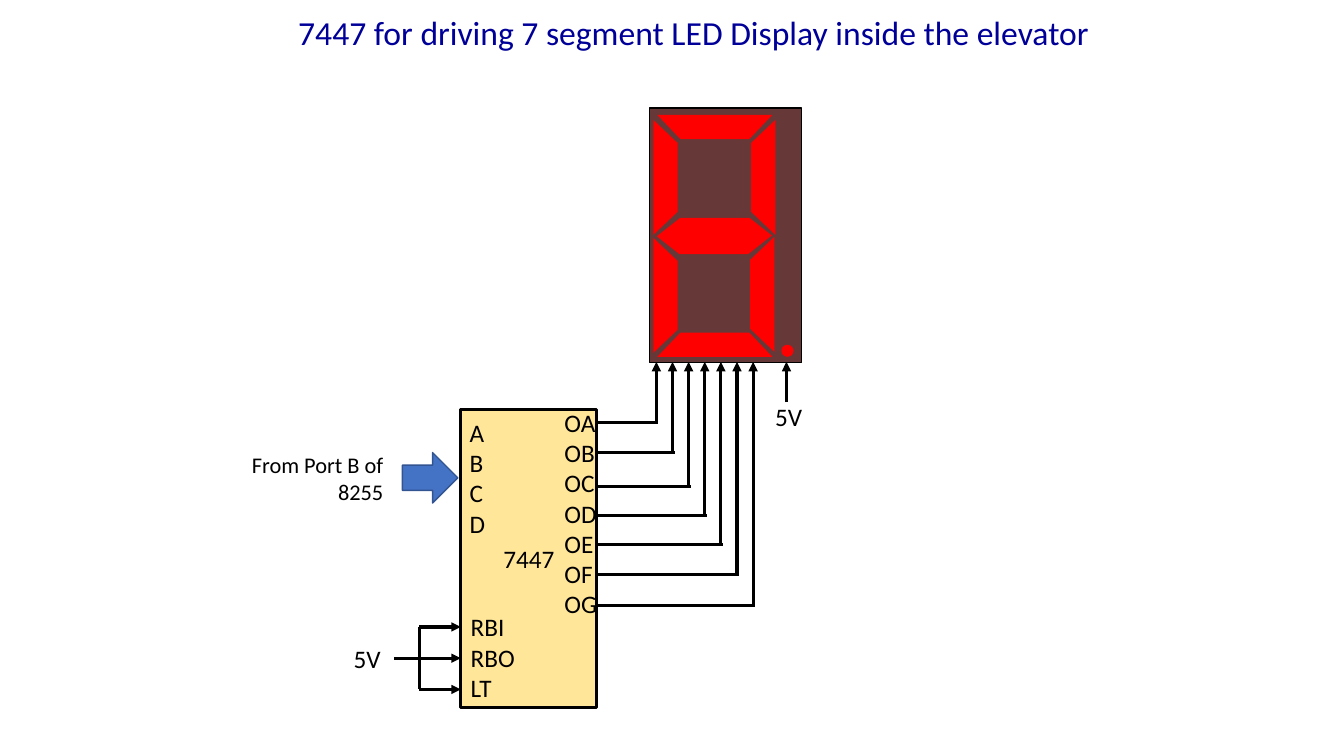
import pptx
import pptx.util
import pptx.dml.color
import pptx.enum.shapes
import pptx.enum.text
import pptx.oxml.ns
from lxml import etree
from pptx.util import Inches

COLORS = {
    "title": "000099", "ink": "000000", "chip": "FFE699", "arrow": "4472C4",
    "arrow_edge": "325491", "panel": "663938", "lit": "FF0000",
}
SHAPES = pptx.enum.shapes.MSO_SHAPE
ALIGN = pptx.enum.text.PP_ALIGN
OUTPUTS = ["OA", "OB", "OC", "OD", "OE", "OF", "OG"]
OUTPUT_ROWS = [4.19, 4.49, 4.83, 5.11, 5.4, 5.7, 6.01]
BUS_LEFT, BUS_STEP = 6.51, 0.16
CHIP_LEFT, CHIP_RIGHT = 4.57, 5.93
DISPLAY_BOTTOM = 3.59


def color(name):
    return pptx.dml.color.RGBColor.from_string(COLORS[name])


def write(frame, lines, size=18, ink="ink", align=ALIGN.LEFT):
    frame.word_wrap = True
    for index, line in enumerate(lines):
        para = frame.paragraphs[0] if index == 0 else frame.add_paragraph()
        para.text = line
        para.alignment = align
        para.font.name = "Calibri"
        para.font.size = pptx.util.Pt(size)
        para.font.color.rgb = color(ink)


def add_label(page, left, top, width, height, lines, **style):
    box = page.shapes.add_textbox(Inches(left), Inches(top), Inches(width), Inches(height))
    write(box.text_frame, lines, **style)


def add_block(page, kind, left, top, width, height, fill, edge=None, weight=1, turn=0):
    block = page.shapes.add_shape(
        kind, Inches(left), Inches(top), Inches(width), Inches(height))
    block.shadow.inherit = False
    block.rotation = turn
    block.fill.solid()
    block.fill.fore_color.rgb = color(fill)
    if edge:
        block.line.color.rgb = color(edge)
        block.line.width = pptx.util.Pt(weight)
    else:
        block.line.fill.background()
    return block


def add_wire(page, start, end, arrow=False):
    wire = page.shapes.add_connector(
        pptx.enum.shapes.MSO_CONNECTOR.STRAIGHT, *map(Inches, start + end))
    wire.line.color.rgb = color("ink")
    wire.line.width = pptx.util.Pt(2.25)
    if arrow:
        etree.SubElement(wire.line._get_or_add_ln(),
                         pptx.oxml.ns.qn("a:tailEnd"), type="triangle")
    etree.SubElement(wire._element.spPr, pptx.oxml.ns.qn("a:effectLst"))


def add_chip(page):
    chip = add_block(page, SHAPES.RECTANGLE, CHIP_LEFT, 4.06, 1.35, 2.96,
                     "chip", "ink", 2.25)
    write(chip.text_frame, ["7447"], align=ALIGN.CENTER)
    chip.text_frame.vertical_anchor = pptx.enum.text.MSO_ANCHOR.MIDDLE
    add_label(page, 4.56, 4.09, 0.41, 1.31, ["A", "B", "C", "D"])
    add_label(page, CHIP_LEFT, 6.02, 0.72, 1.01, ["RBI", "RBO", "LT"])
    add_label(page, 5.5, 3.99, 0.57, 2.22, OUTPUTS)


def add_inputs(page):
    add_block(page, SHAPES.RIGHT_ARROW, 3.99, 4.49, 0.55, 0.5, "arrow", "arrow_edge")
    add_label(page, 2.4, 4.43, 1.5, 0.64, ["From Port B of 8255"],
              size=16, align=ALIGN.RIGHT)
    # 5V supply to the three control pins
    for left, row in [(4.16, 6.22), (3.91, 6.53), (4.16, 6.84)]:
        add_wire(page, (left, row), (CHIP_LEFT, row), arrow=True)
    add_wire(page, (4.16, 6.22), (4.16, 6.84))
    add_label(page, 3.41, 6.33, 0.49, 0.4, ["5V"])


def add_display(page):
    add_block(page, SHAPES.RECTANGLE, 6.44, 1.07, 1.51, 2.53, "panel", "ink")
    # Segments: left, top, thickness, rotation
    segments = [
        (6.52, 1.14, 0.24, 0), (6.52, 3.3, 0.24, 180),
        (7, 1.64, 0.24, 90), (6.03, 1.64, 0.24, 270),
        (6.03, 2.81, 0.24, 270), (6.99, 2.8, 0.24, 90),
        (6.51, 2.34, 0.18, 0), (6.52, 2.16, 0.18, 180),
    ]
    for left, top, thickness, turn in segments:
        add_block(page, SHAPES.FLOWCHART_MANUAL_OPERATION, left, top, 1.14, thickness,
                  "lit", turn=turn)
    add_block(page, SHAPES.FLOWCHART_CONNECTOR, 7.75, 3.42, 0.12, 0.12, "lit")


def add_bus(page):
    for index, row in enumerate(OUTPUT_ROWS):
        column = BUS_LEFT + index * BUS_STEP
        add_wire(page, (column, row), (column, DISPLAY_BOTTOM), arrow=True)
        add_wire(page, (CHIP_RIGHT, row), (column + 0.02, row))
    add_wire(page, (7.8, 3.99), (7.8, DISPLAY_BOTTOM), arrow=True)
    add_label(page, 7.59, 3.93, 0.49, 0.4, ["5V"])


def main():
    deck = pptx.Presentation()
    deck.slide_width, deck.slide_height = Inches(13.33), Inches(7.5)
    page = deck.slides.add_slide(deck.slide_layouts[6])
    add_label(page, 2.86, 0.07, 8.13, 0.5,
              ["7447 for driving 7 segment LED Display inside the elevator"],
              size=24, ink="title")
    add_chip(page)
    add_inputs(page)
    add_display(page)
    add_bus(page)
    deck.save("out.pptx")


if __name__ == "__main__":
    main()
